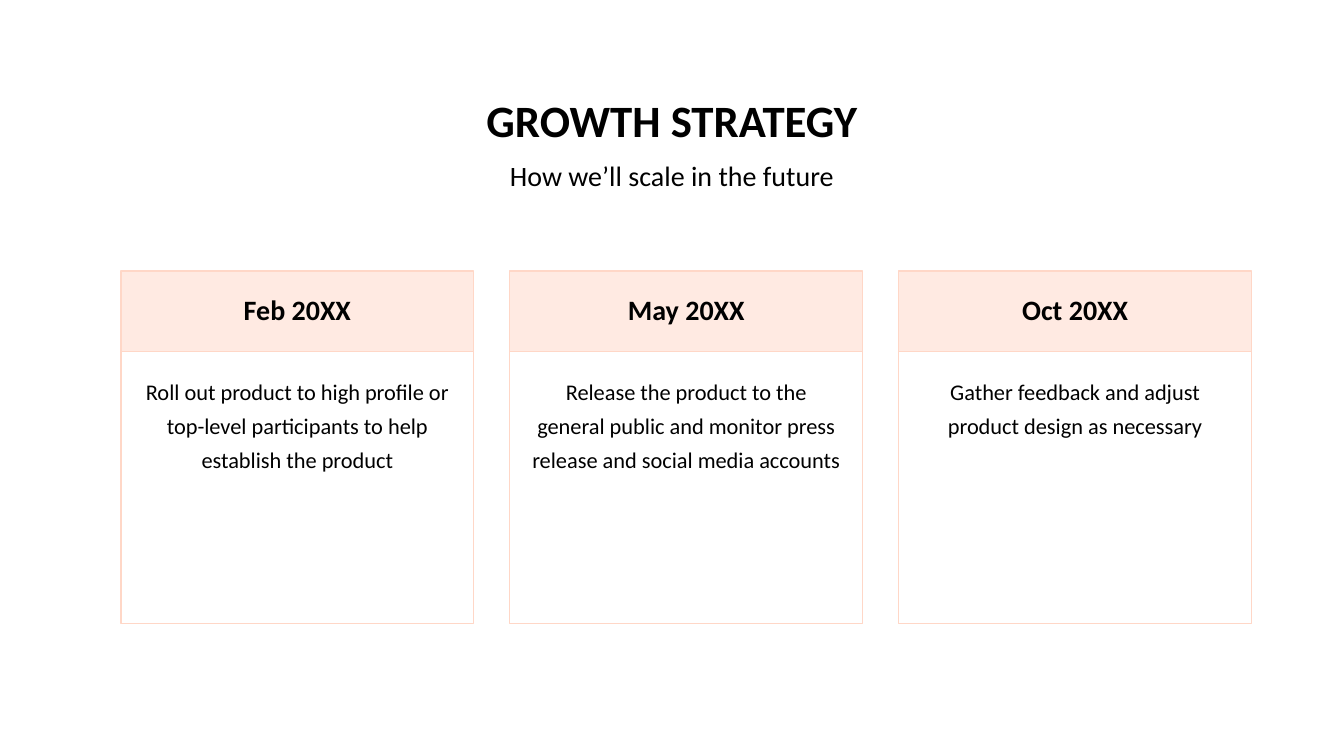
import pptx
import pptx.util
import pptx.dml.color
import pptx.enum.shapes
import pptx.enum.text
import pptx.oxml.ns
import lxml.etree

Cm = pptx.util.Cm
Pt = pptx.util.Pt
ANCHOR = pptx.enum.text.MSO_ANCHOR
PEACH = "FFD7C7"
BLACK = "000000"
STEPS = [
    ("Feb 20XX", "Roll out product to high profile or top-level participants "
                 "to help establish the product"),
    ("May 20XX", "Release the product to the general public and monitor press "
                 "release and social media accounts"),
    ("Oct 20XX", "Gather feedback and adjust product design as necessary"),
]


def color(code):
    """Turn a hex string into a colour."""
    return pptx.dml.color.RGBColor.from_string(code)


def apply(target, values):
    """Set each named attribute of the target."""
    for name, value in values.items():
        setattr(target, name, value)


def write(shape, text, size, bold=False, space=0.9, anchor=ANCHOR.TOP,
          pads=(0.25, 0.13, 0.25, 0.13)):
    """Write one centred paragraph into a shape."""
    frame = shape.text_frame
    left, top, right, base = map(Cm, pads)
    apply(frame, {"word_wrap": True, "vertical_anchor": anchor,
                  "margin_left": left, "margin_top": top,
                  "margin_right": right, "margin_bottom": base})
    line = frame.paragraphs[0]
    apply(line, {"text": text, "line_spacing": space,
                 "alignment": pptx.enum.text.PP_ALIGN.CENTER})
    apply(line.runs[0].font, {"name": "Calibri", "size": Pt(size), "bold": bold})
    line.runs[0].font.color.rgb = color(BLACK)


def panel(slide, box, fill=None):
    """Add a peach-edged rectangle, with a half-clear fill if one is given."""
    shape = slide.shapes.add_shape(
        pptx.enum.shapes.MSO_SHAPE.RECTANGLE, *map(Cm, box))
    shape.shadow.inherit = False
    shape.line.color.rgb = color(PEACH)
    shape.line.width = Pt(0.75)
    if fill:
        shape.fill.solid()
        shape.fill.fore_color.rgb = color(fill)
        tint = shape.fill._xPr.find(".//" + pptx.oxml.ns.qn("a:srgbClr"))
        lxml.etree.SubElement(tint, pptx.oxml.ns.qn("a:alpha"), val="50000")
    else:
        shape.fill.background()
    return shape


def header(slide, left, top, width):
    """Place the title and the subtitle below it."""
    title = slide.shapes.add_textbox(*map(Cm, (left, top, width, 2.95)))
    write(title, "GROWTH STRATEGY", 32, True, anchor=ANCHOR.BOTTOM,
          pads=(0.25, 0.13, 0.25, 0.25))
    under = slide.shapes.add_textbox(*map(Cm, (left, top + 2.95, width, 1.27)))
    write(under, "How we’ll scale in the future", 20)


def card(slide, left, top, width, height, date, text):
    """Place a date band over a framed text."""
    band = 2.03
    head = panel(slide, (left, top, width, band), PEACH)
    write(head, date, 20, True, anchor=ANCHOR.MIDDLE)
    body = panel(slide, (left, top + band, width, height - band))
    write(body, text, 16, space=Pt(24), pads=(0.51, 0.51, 0.51, 0.13))


def main():
    """Build and save the slide."""
    deck = pptx.Presentation()
    apply(deck, {"slide_width": Cm(33.87), "slide_height": Cm(19.05)})
    slide = deck.slides.add_slide(deck.slide_layouts[6])
    header(slide, 2.33, 1.02, 29.21)
    for place, (date, text) in enumerate(STEPS):
        card(slide, 3.05 + 9.8 * place, 6.83, 8.89, 8.89, date, text)
    deck.save("out.pptx")


if __name__ == "__main__":
    main()
